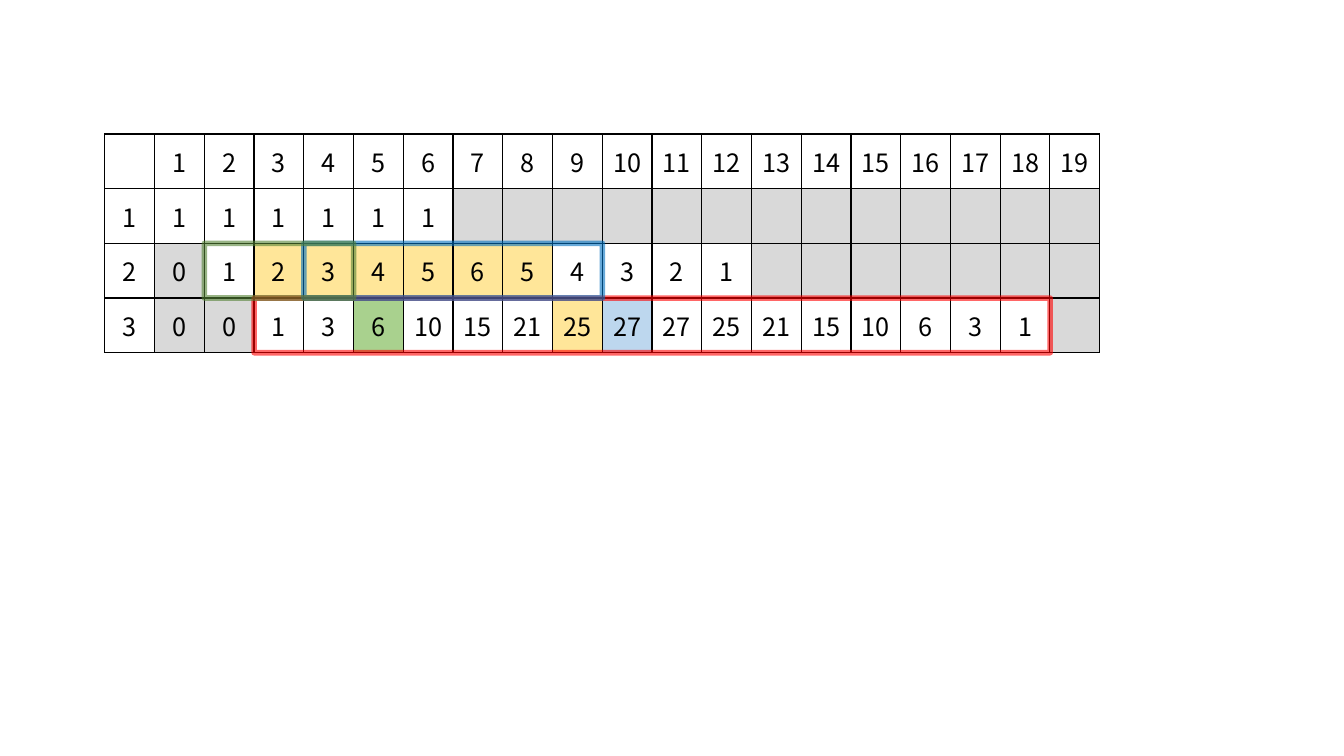
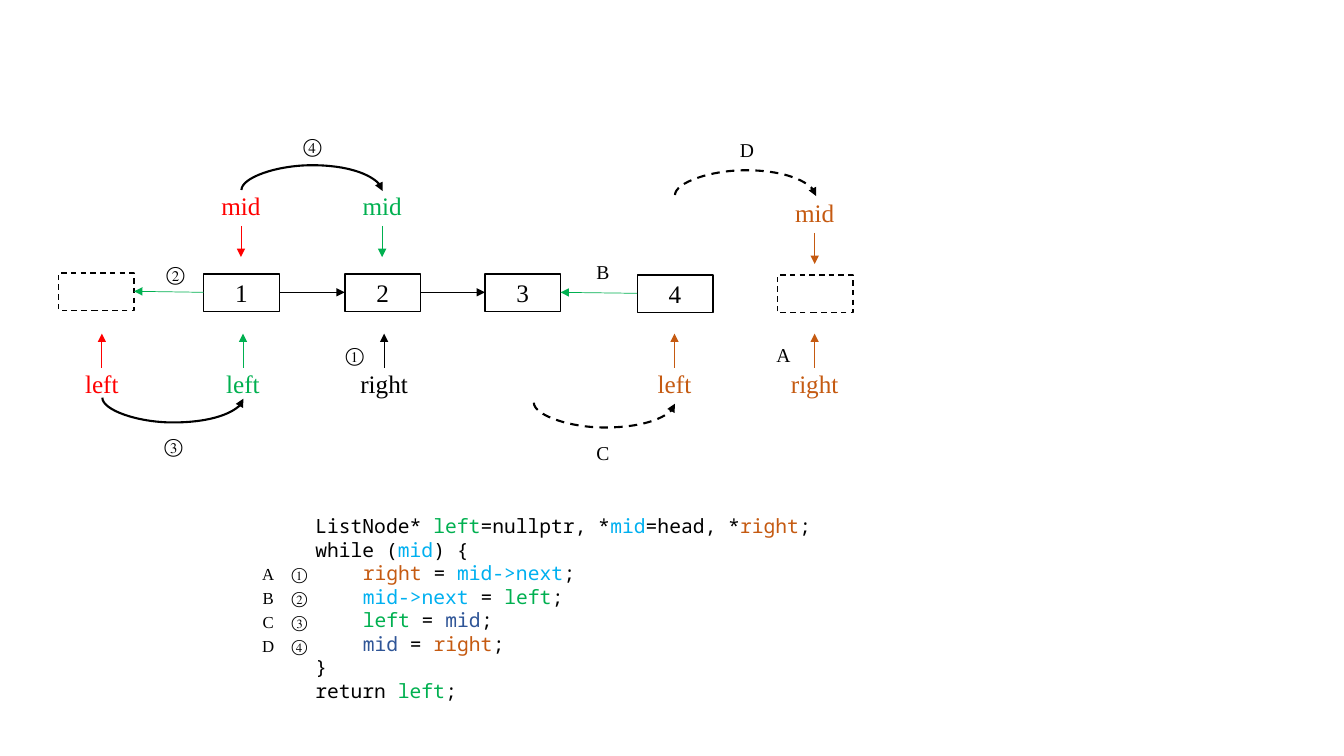
import lxml.etree
import pptx
import pptx.dml.color
import pptx.enum.dml
import pptx.enum.shapes
import pptx.enum.text
import pptx.oxml.ns
import pptx.util

PX = 9144
HUES = {
    "black": "000000", "white": "FFFFFF", "gray": "D9D9D9",
    "cream": "FFE699", "lime": "A9D18E", "ice": "BDD7EE",
    "red": "FF0000", "blue": "0070C0", "moss": "548235",
    "green": "00B050", "rust": "C55A11", "sky": "00B0F0", "navy": "2F5597",
}
SANS, MONO, SERIF = "Noto Sans CJK SC", "Noto Sans Mono", "Times New Roman"
FILLS = {"w": "white", "g": "gray", "y": "cream", "n": "lime", "b": "ice"}

GRID = [
    [""] + [str(n) for n in range(1, 20)],
    ["1"] * 7,
    "2 0 1 2 3 4 5 6 5 4 3 2 1".split(),
    "3 0 0 1 3 6 10 15 21 25 27 27 25 21 15 10 6 3 1".split(),
]
TINTS = [
    "w" * 20,
    "w" * 7 + "g" * 13,
    "wgw" + "y" * 6 + "w" * 4 + "g" * 7,
    "wggwwnwwwyb" + "w" * 8 + "g",
]
FRAMES = [(3, 3, 16, "red"), (4, 2, 6, "blue"), (2, 2, 3, "moss")]

NODES = [
    (58, 271, "", True), (202, 272, "1", False), (342, 272, "2", False),
    (481, 272, "3", False), (632, 273, "4", False), (771, 273, "", True),
]
LINKS = [
    (202, 290, 133, 289, "green"), (277, 290, 342, 290, "black"),
    (417, 290, 481, 290, "black"), (632, 291, 556, 290, "green"),
]
BELOW = [
    (101, "left", "red"), (241, "left", "green"), (381, "right", "black"),
    (669, "left", "rust"), (808, "right", "rust"),
]
ABOVE = [(239, 189, "red"), (379, 189, "green"), (808, 196, "rust")]
ARCS = [
    (239, 189, -1, False), (101, 395, 1, False),
    (669, 194, -1, True), (529, 400, 1, True),
]
MARKS = [
    (325, 335, "①"), (147, 255, "②"), (145, 426, "③"), (283, 128, "④"),
    (750, 335, "A"), (571, 253, "B"), (571, 433, "C"), (714, 132, "D"),
]
CODE = [
    (0, [("ListNode* ", "black"), ("left", "green"), ("=nullptr, *", "black"),
         ("mid", "sky"), ("=head, *", "black"), ("right", "rust"), (";", "black")]),
    (0, [("while (", "black"), ("mid", "sky"), (") {", "black")]),
    (1, [("right", "rust"), (" = ", "black"), ("mid->next", "sky"), (";", "black")]),
    (1, [("mid->next ", "sky"), ("= ", "black"), ("left", "green"), (";", "black")]),
    (1, [("left", "green"), (" = ", "black"), ("mid", "navy"), (";", "black")]),
    (1, [("mid", "navy"), (" = ", "black"), ("right", "rust"), (";", "black")]),
    (0, [("}", "black")]),
    (0, [("return ", "black"), ("left", "green"), (";", "black")]),
]


def px(*sizes):
    return [pptx.util.Emu(round(size * PX)) for size in sizes]


def hue(name):
    return pptx.dml.color.RGBColor.from_string(HUES[name])


def add(node, tag, **attrs):
    return lxml.etree.SubElement(node, pptx.oxml.ns.qn(tag), attrs)


def find(node, tag):
    return node.find(".//" + pptx.oxml.ns.qn(tag))


class Deck:
    def __init__(self):
        self.show = pptx.Presentation()
        self.show.slide_width, self.show.slide_height = px(1333, 750)
        self.slide = None

    def page(self):
        self.slide = self.show.slides.add_slide(self.show.slide_layouts[6])

    def put(self, para, runs, size, face, center=True):
        if center:
            para.alignment = pptx.enum.text.PP_ALIGN.CENTER
        for text, tone in runs:
            run = para.add_run()
            run.text = text
            run.font.size = pptx.util.Pt(size)
            run.font.color.rgb = hue(tone)
            run.font.name = face
            add(run.font._element, "a:ea", typeface=face)

    def stroke(self, line, tone, width, dash=False):
        line.color.rgb = hue(tone)
        line.width = pptx.util.Pt(width)
        if dash:
            line.dash_style = pptx.enum.dml.MSO_LINE.DASH

    def box(self, x, y, w, h, tone="black", width=1, fill=None, dash=False, text=""):
        kind = pptx.enum.shapes.MSO_SHAPE.RECTANGLE
        shape = self.slide.shapes.add_shape(kind, *px(x, y, w, h))
        shape.shadow.inherit = False
        if fill:
            shape.fill.solid()
            shape.fill.fore_color.rgb = hue(fill)
        else:
            shape.fill.background()
        self.stroke(shape.line, tone, width, dash)
        if text:
            frame = shape.text_frame
            frame.vertical_anchor = pptx.enum.text.MSO_ANCHOR.MIDDLE
            self.put(frame.paragraphs[0], [(text, "black")], 18, SERIF)
        return shape

    def frame(self, x, y, w, h, tone):
        shape = self.box(x, y, w, h, tone, 4)
        add(find(find(shape._element, "a:ln"), "a:srgbClr"), "a:alpha", val="60000")

    def text(self, x, y, w, h):
        frame = self.slide.shapes.add_textbox(*px(x, y, w, h)).text_frame
        frame.word_wrap = True
        return frame

    def label(self, x, y, text, tone):
        frame = self.text(x - 44, y, 88, 30)
        frame.margin_left = frame.margin_right = 0
        frame.margin_top = frame.margin_bottom = 0
        self.put(frame.paragraphs[0], [(text, tone)], 18, SERIF)

    def mark(self, x, y, text, size=14, h=34):
        frame = self.text(x, y, 54, h)
        self.put(frame.paragraphs[0], [(text, "black")], size, SERIF)

    def join(self, kind, ends, tone, width, dash=False):
        line = self.slide.shapes.add_connector(kind, *px(*ends))
        self.stroke(line.line, tone, width, dash)
        add(find(line._element, "a:ln"), "a:tailEnd", type="triangle")
        add(find(line._element, "p:spPr"), "a:effectLst")
        return line

    def arrow(self, x, y, to_x, to_y, tone):
        kind = pptx.enum.shapes.MSO_CONNECTOR.STRAIGHT
        self.join(kind, (x, y, to_x, to_y), tone, 0.5)

    def arc(self, x, y, way, dash):
        kind = pptx.enum.shapes.MSO_CONNECTOR.CURVE
        mid = x + 70
        line = self.join(kind, (mid + 1, y - 70, mid, y + 70), "black", 1.5, dash)
        find(line._element, "a:xfrm").set("rot", "16200000")
        bend = find(line._element, "a:avLst")
        add(bend, "a:gd", name="adj1", fmla=f"val {way * 2500000}")

    def edge(self, cell):
        props = cell._tc.get_or_add_tcPr()
        for side in ("a:lnL", "a:lnR", "a:lnT", "a:lnB"):
            line = add(props, side, w="12700")
            add(add(line, "a:solidFill"), "a:srgbClr", val=HUES["black"])

    def table(self, x, y, w, h, rows, tints):
        shape = self.slide.shapes.add_table(len(tints), len(tints[0]), *px(x, y, w, h))
        table = shape.table
        table.first_row = table.horz_banding = False
        for r, tint in enumerate(tints):
            for c, code in enumerate(tint):
                cell = table.cell(r, c)
                cell.margin_left = cell.margin_right = 0
                cell.vertical_anchor = pptx.enum.text.MSO_ANCHOR.MIDDLE
                self.edge(cell)
                cell.fill.solid()
                cell.fill.fore_color.rgb = hue(FILLS[code])
                if c < len(rows[r]) and rows[r][c]:
                    para = cell.text_frame.paragraphs[0]
                    self.put(para, [(rows[r][c], "black")], 18, SANS)

    def code(self, x, y, w, h, lines):
        frame = self.text(x, y, w, h)
        for n, (depth, runs) in enumerate(lines):
            para = frame.add_paragraph() if n else frame.paragraphs[0]
            if depth:
                props = para._p.get_or_add_pPr()
                props.set("marL", str(px(47 * depth)[0]))
                props.set("indent", "0")
            self.put(para, runs, 14, MONO, center=False)


def draw_sums(deck):
    deck.page()
    left, top, wide, high = 104, 133, 987, 217
    deck.table(left, top, wide, high, GRID, TINTS)
    step, rise = wide / len(TINTS[0]), high / len(TINTS)
    for col, row, span, tone in FRAMES:
        deck.frame(left + col * step, top + row * rise, span * step, rise, tone)


def draw_list(deck):
    deck.page()
    for x, y, text, dash in NODES:
        deck.box(x, y, 75, 37, fill="white", dash=dash, text=text)
    for link in LINKS:
        deck.arrow(*link)
    for x, text, tone in BELOW:
        deck.label(x, 365, text, tone)
        deck.arrow(x, 365, x, 331, tone)
    for x, y, tone in ABOVE:
        deck.label(x, y, "mid", tone)
        deck.arrow(x, y + 35, x, y + 66, tone)
    for arc in ARCS:
        deck.arc(*arc)
    for mark in MARKS:
        deck.mark(*mark)
    deck.code(303, 505, 563, 199, CODE)
    for x, signs in ((270, "①②③④"), (239, "ABCD")):
        for n, sign in enumerate(signs):
            deck.mark(x, 554 + 24 * n, sign, 12, 30)


def main():
    deck = Deck()
    draw_sums(deck)
    draw_list(deck)
    deck.show.save("out.pptx")


if __name__ == "__main__":
    main()
